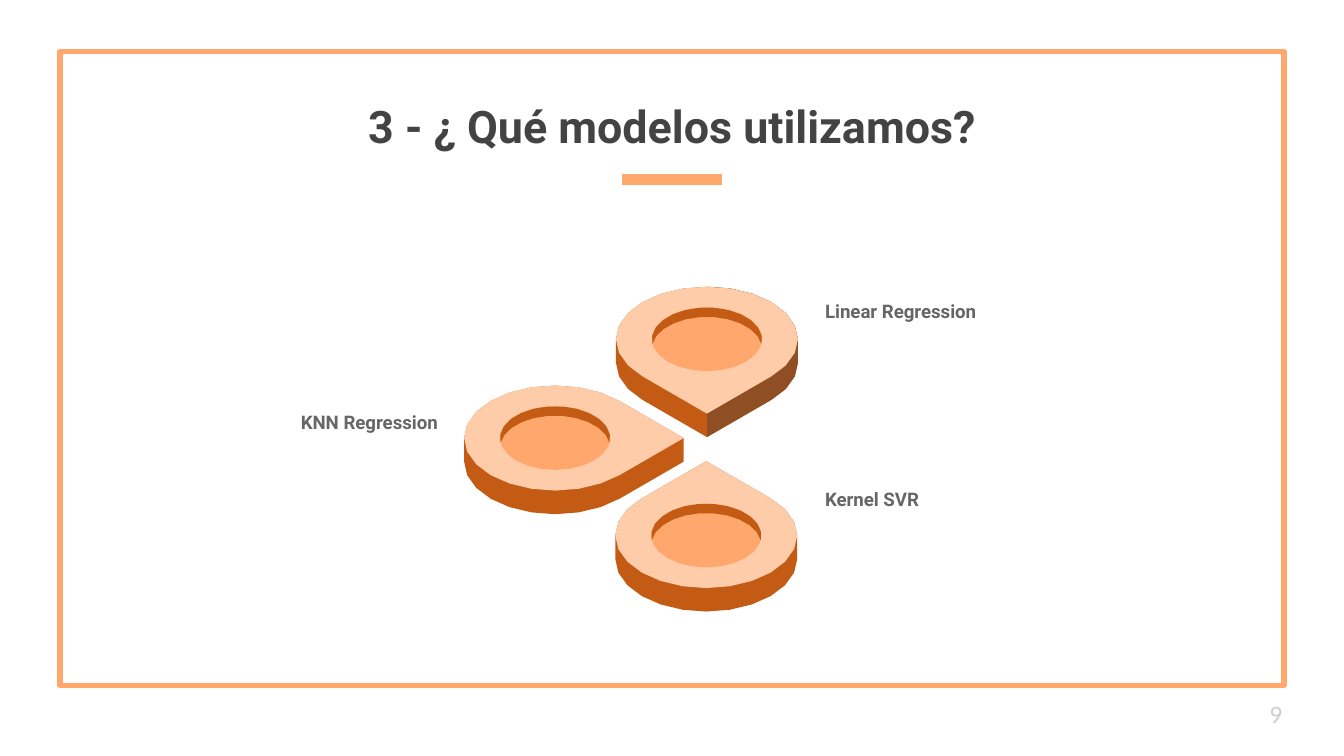
import math

from lxml import etree
from pptx import Presentation
from pptx import util as u
from pptx.dml.color import RGBColor
from pptx.enum import shapes, text
from pptx.oxml import ns

# Square grid: 100 columns by 56.25 rows
CELL = u.Inches(0.1)
COLUMNS, ROWS = 100, 56.25

ORANGE = RGBColor(0xFF, 0xA7, 0x6C)
PEACH = RGBColor(0xFF, 0xCC, 0xAA)
RUST = RGBColor(0xC3, 0x5B, 0x14)
BROWN = RGBColor(0x8F, 0x4E, 0x23)
CHARCOAL = RGBColor(0x43, 0x43, 0x43)
GREY = RGBColor(0x66, 0x66, 0x66)
SILVER = RGBColor(0xCC, 0xCC, 0xCC)

# Petal measures, in cells
PETAL = (6.77, 3.91)
WELL = (4.1, 2.37)
PETAL_DEPTH, WELL_DEPTH = 1.75, 0.7

# Directions and arc step in degrees, clockwise from the right
RIGHT, DOWN, UP = 0, 90, 270
STEP = 15


def cells(*counts):
    return [round(count * CELL) for count in counts]


def add_text(slide, content, box, font="Roboto", size=10, color=GREY, bold=True,
             align=text.PP_ALIGN.LEFT, anchor=text.MSO_ANCHOR.TOP):
    frame = slide.shapes.add_textbox(*cells(*box)).text_frame
    frame.word_wrap = True
    frame.vertical_anchor = anchor
    frame.margin_left = frame.margin_right = CELL
    frame.margin_top = frame.margin_bottom = CELL
    paragraph = frame.paragraphs[0]
    paragraph.alignment = align
    run = paragraph.add_run()
    run.text = content
    run.font.name, run.font.size = font, u.Pt(size)
    run.font.bold, run.font.color.rgb = bold, color


def add_frame(slide):
    frame = slide.shapes.add_shape(shapes.MSO_SHAPE.RECTANGLE,
                                   *cells(4.45, 3.85, 91.1, 47.15))
    frame.shadow.inherit = False
    frame.fill.background()
    frame.line.color.rgb, frame.line.width = ORANGE, u.Pt(3)


def add_title_rule(slide):
    rule = slide.shapes.add_connector(shapes.MSO_CONNECTOR.STRAIGHT,
                                      *cells(46.3, 13.37, 53.7, 13.37))
    rule.line.color.rgb, rule.line.width = ORANGE, u.Pt(6)
    etree.SubElement(rule._element.spPr, ns.qn("a:effectLst"))


def arc(center, radii, start, end, tip=None, drop=0):
    """Points along an ellipse; the quarter around the tip becomes a corner."""
    points = []
    steps = round(abs(end - start) / STEP)
    for step in range(steps + 1):
        degrees = start + (end - start) * step / steps
        stretch = 1
        if tip is not None:
            offset = abs((degrees - tip + 180) % 360 - 180)
            if 0 < offset < 45:
                continue
            if offset == 0:
                stretch = math.sqrt(2)
        angle = math.radians(degrees)
        points.append(cells(center[0] + radii[0] * stretch * math.cos(angle),
                            center[1] + radii[1] * stretch * math.sin(angle) + drop))
    return points


def add_outline(group, points, color):
    builder = group.shapes.build_freeform(*points[0])
    builder.add_line_segments(points[1:], close=True)
    outline = builder.convert_to_shape()
    outline.shadow.inherit = False
    outline.fill.solid()
    outline.fill.fore_color.rgb = color
    outline.line.fill.background()


def add_petal(slide, center, tip, shaded=False):
    group = slide.shapes.add_group_shape()

    # Thick side, with a shaded right face where wanted
    add_outline(group, arc(center, PETAL, 180, 360, tip)
                + arc(center, PETAL, 0, 180, tip, PETAL_DEPTH), RUST)
    if shaded:
        add_outline(group, arc(center, PETAL, 270, 360, tip)
                    + arc(center, PETAL, 0, 90, tip, PETAL_DEPTH), BROWN)

    # Top face and sunken well
    add_outline(group, arc(center, PETAL, 0, 360 - STEP, tip), PEACH)
    add_outline(group, arc(center, WELL, 0, 360 - STEP), ORANGE)

    # Inner wall of the well, between its rim and its floor
    meet = math.degrees(math.asin(WELL_DEPTH / 2 / WELL[1]))
    add_outline(group, arc(center, WELL, 180 - meet, 360 + meet)
                + arc(center, WELL, 360 - meet, 180 + meet, drop=WELL_DEPTH), RUST)


def main():
    deck = Presentation()
    deck.slide_width, deck.slide_height = cells(COLUMNS, ROWS)
    slide = deck.slides.add_slide(deck.slide_layouts[6])

    # Frame, title and page number
    add_frame(slide)
    add_title_rule(slide)
    add_text(slide, "3 - ¿ Qué modelos utilizamos?", (0, 2.35, COLUMNS, 10), size=24,
             color=CHARCOAL, align=text.PP_ALIGN.CENTER, anchor=text.MSO_ANCHOR.BOTTOM)
    add_text(slide, "9", (93.5, 51, 6, 4.3), font="Lato", size=12, color=SILVER,
             bold=False, anchor=text.MSO_ANCHOR.MIDDLE)

    # Model names
    add_text(slide, "KNN Regression", (10.85, 29.75, 22.7, 7.7),
             align=text.PP_ALIGN.RIGHT)
    add_text(slide, "Linear Regression", (60.4, 21.45, 19.1, 8.2))
    add_text(slide, "Kernel SVR", (60.4, 35.45, 20.1, 11.2))

    # Petals pointing at their common middle
    add_petal(slide, (52.6, 25.25), DOWN, shaded=True)
    add_petal(slide, (41.3, 32.6), RIGHT)
    add_petal(slide, (52.55, 39.85), UP)

    deck.save("out.pptx")


if __name__ == "__main__":
    main()
